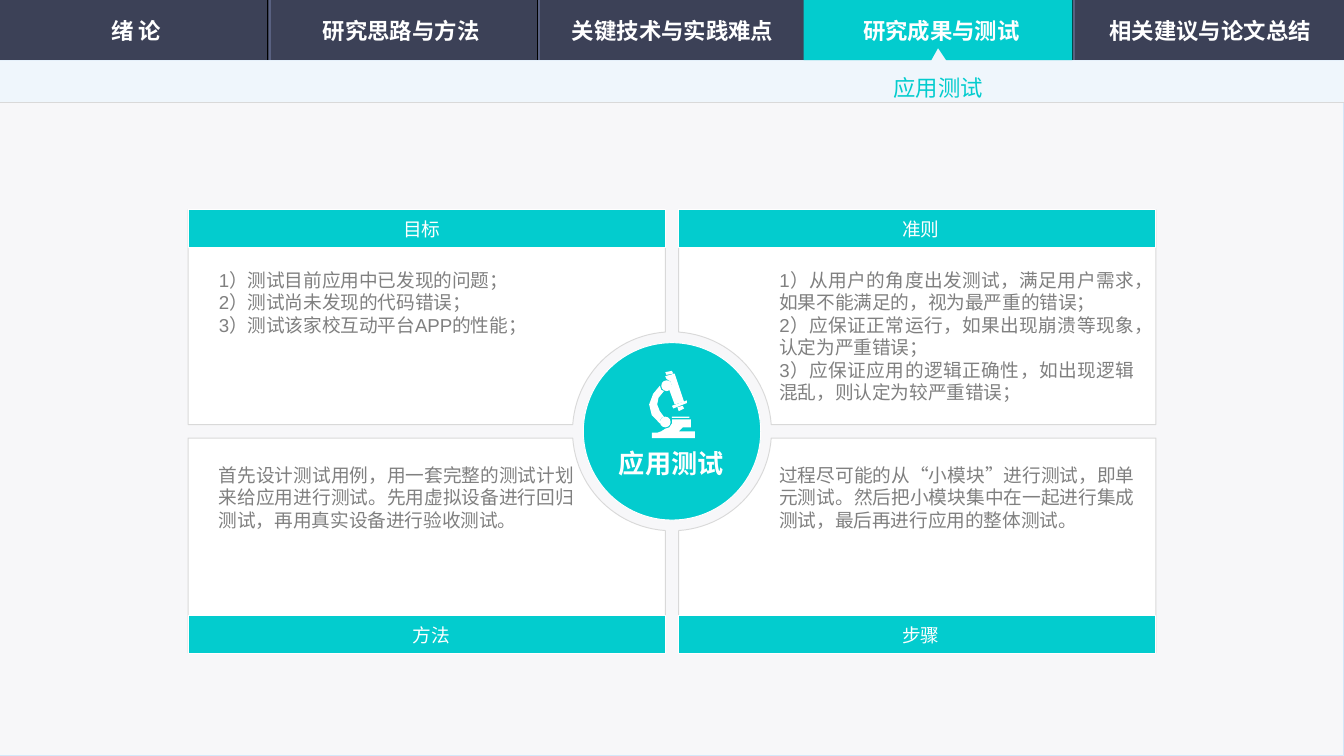
"""Build the application-testing slide: navigation bar, four cards and a round hub."""
from dataclasses import dataclass
from math import asin, cos, pi, sin

from lxml import etree
from pptx import Presentation
from pptx import util as u
from pptx.dml.color import RGBColor
from pptx.enum import shapes, text
from pptx.oxml import ns

TEAL, NAVY, WHITE, GREY = "03CCCE", "3C4157", "FFFFFF", "808080"
EDGE, PAPER, PALE = "D9D9D9", "F7F7F9", "EFF6FC"
SANS = "Noto Sans CJK SC"
RECT, OVAL = shapes.MSO_SHAPE.RECTANGLE, shapes.MSO_SHAPE.OVAL
CENTER, JUSTIFY, LEFT = text.PP_ALIGN.CENTER, text.PP_ALIGN.JUSTIFY, text.PP_ALIGN.LEFT
WIDTH, HEIGHT, BAR, SUBBAR = 10, 10 * 9 / 16, 0.45, 0.76
HUB_X, HUB_Y, HUB_RADIUS, NOTCH = 5, 3.21, 0.66, 0.74
CARD_WIDTH, CARD_HEIGHT, HALF_GAP, BAND = 3.55, 1.6, 0.05, 0.28
Points = list[tuple[float, float]]
Bounds = tuple[float, float, float, float]


@dataclass
class Style:
    size: float
    name: str
    color: str
    align: text.PP_ALIGN
    bold: bool = False
    wrap: bool = True
    inset: bool = True
    middle: bool = False
    spacing: float | None = None


@dataclass
class Card:
    side: int
    row: int
    title: str
    title_left: float
    body: list[str]
    body_bounds: Bounds


TAB = Style(12, SANS, WHITE, CENTER, bold=True, middle=True)
SUBTAB = Style(12, SANS, TEAL, LEFT, wrap=False, middle=True, spacing=1.5)
TITLE = Style(10, SANS, WHITE, CENTER, wrap=False, inset=False)
BODY = Style(10, "Arial", GREY, JUSTIFY)
HUB = Style(14, "Calibri", WHITE, CENTER, bold=True, wrap=False)

TABS = {"绪 论": 0.02, "研究思路与方法": 1.99, "关键技术与实践难点": 4.01,
        "研究成果与测试": 6.01, "相关建议与论文总结": 8.01}
SEPARATORS = [(1.99, 2.01), (4, 4.01), (5.99, 6), (7.98, 7.99)]
CARDS = [
    Card(-1, 1, "方法", 3.07, [
        "首先设计测试用例，用一套完整的测试计划来给应用进行测试。"
        "先用虚拟设备进行回归测试，再用真实设备进行验收测试。",
    ], (1.53, 3.4, 2.84, 0.61)),
    Card(1, 1, "步骤", 6.71, [
        "过程尽可能的从“小模块”进行测试，即单元测试。"
        "然后把小模块集中在一起进行集成测试，最后再进行应用的整体测试。",
    ], (5.7, 3.4, 2.84, 0.61)),
    Card(-1, -1, "目标", 3, [
        "1）测试目前应用中已发现的问题；",
        "2）测试尚未发现的代码错误；",
        "3）测试该家校互动平台APP的性能；",
    ], (1.53, 1.95, 2.81, 0.61)),
    Card(1, -1, "准则", 6.71, [
        "1）从用户的角度出发测试，满足用户需求，如果不能满足的，视为最严重的错误；",
        "2）应保证正常运行，如果出现崩溃等现象，认定为严重错误；",
        "3）应保证应用的逻辑正确性，如出现逻辑混乱，则认定为较严重错误；",
    ], (5.7, 1.95, 2.84, 1.11)),
]
MICROSCOPE_OUTLINES: list[Points] = [
    [(5.11, 3), (5.01, 3.04), (5, 3.02), (5.11, 2.98)],
    [(5.04, 3.03), (5.05, 3.06), (5.09, 3.04), (5.08, 3.02)],
    [(4.95, 2.77), (4.96, 2.79), (5.01, 2.78), (5, 2.76)],
    [(5.02, 2.78), (4.95, 2.8), (4.96, 2.82), (4.99, 2.84), (5, 2.87),
     (4.98, 2.9), (5.02, 3.01), (5.09, 2.99)],
    [(4.91, 3.15), (4.91, 3.13), (4.92, 3.11), (4.94, 3.1), (4.91, 3.06), (4.89, 3.01),
     (4.9, 2.96), (4.94, 2.91), (4.92, 2.9), (4.91, 2.87), (4.86, 2.93), (4.83, 3.01),
     (4.85, 3.09)],
    [(5.05, 3.21), (5.08, 3.18), (5.14, 3.18), (5.14, 3.12), (5, 3.12), (5, 3.15),
     (4.98, 3.18), (4.95, 3.19), (4.92, 3.21), (4.89, 3.22), (4.85, 3.22),
     (4.85, 3.26), (5.17, 3.26), (5.17, 3.21)],
]


def cm(inches: float) -> u.Length:
    """Turn a layout position in inches into a length."""
    return u.Cm(inches * 2.54)


def rgb(value: str) -> RGBColor:
    """Turn a hex string into a colour."""
    return RGBColor.from_string(value)


def paint(shape, fill: str, line: str | None = None) -> None:
    """Give a shape a flat fill and an optional thin outline."""
    shape.shadow.inherit = False
    shape.fill.solid()
    shape.fill.fore_color.rgb = rgb(fill)
    if line:
        shape.line.color.rgb = rgb(line)
        shape.line.width = u.Pt(0.5)
    else:
        shape.line.fill.background()


def add_preset(page, kind, bounds: Bounds, fill: str, line: str | None = None) -> None:
    """Draw a preset shape."""
    paint(page.shapes.add_shape(kind, *map(cm, bounds)), fill, line)


def add_outline(page, points: Points, fill: str, line: str | None = None) -> None:
    """Draw a closed outline through the points."""
    corners = [(cm(x), cm(y)) for x, y in points]
    builder = page.shapes.build_freeform(*corners[0])
    builder.add_line_segments(corners[1:], close=True)
    paint(builder.convert_to_shape(), fill, line)


def add_rule(page, ends: Bounds, color: str, width: float) -> None:
    """Draw a straight line without shadow."""
    rule = page.shapes.add_connector(shapes.MSO_CONNECTOR.STRAIGHT, *map(cm, ends))
    rule.line.color.rgb = rgb(color)
    rule.line.width = u.Pt(width)
    etree.SubElement(rule._element.spPr, ns.qn("a:effectLst"))


def write_text(frame, lines: list[str], style: Style) -> None:
    """Write paragraphs in one style."""
    frame.text = "\n".join(lines)
    frame.word_wrap = style.wrap
    frame.vertical_anchor = text.MSO_ANCHOR.MIDDLE if style.middle else text.MSO_ANCHOR.TOP
    if not style.inset:
        frame.margin_left = frame.margin_right = frame.margin_top = frame.margin_bottom = 0
    for para in frame.paragraphs:
        para.alignment, para.line_spacing = style.align, style.spacing
        para.font.size, para.font.name = u.Pt(style.size), style.name
        para.font.bold = style.bold
        para.font.color.rgb = rgb(style.color)


def add_text(page, lines: list[str], bounds: Bounds, style: Style) -> None:
    """Add a text box that grows with its text."""
    frame = page.shapes.add_textbox(*map(cm, bounds)).text_frame
    write_text(frame, lines, style)
    frame.auto_size = text.MSO_AUTO_SIZE.SHAPE_TO_FIT_TEXT


def add_navigation(page) -> None:
    """Draw the tab bar, its active tab and the strip below."""
    add_preset(page, RECT, (0, 0, WIDTH, BAR), NAVY)
    add_preset(page, RECT, (0, BAR, WIDTH, HEIGHT - BAR), PAPER, "D4E7F9")
    for dark, light in SEPARATORS:
        add_rule(page, (dark, 0, dark, BAR), "000000", 0.5)
        add_rule(page, (light, 0, light, BAR), "596181", 0.75)
    add_preset(page, RECT, (5.98, 0, 2, BAR), TEAL)
    add_outline(page, [(6.98, 0.36), (7.04, BAR), (WIDTH, BAR), (WIDTH, SUBBAR),
                       (0, SUBBAR), (0, BAR), (6.93, BAR)], PALE)
    add_rule(page, (0, SUBBAR, WIDTH, SUBBAR), EDGE, 0.5)


def add_tab_labels(page) -> None:
    """Label the tabs and the strip below."""
    for label, left in TABS.items():
        tab = page.shapes.add_shape(shapes.MSO_SHAPE.ROUNDED_RECTANGLE,
                                    *map(cm, (left, 0.07, 1.99, 0.31)))
        tab.adjustments[0] = 0
        tab.shadow.inherit = False
        tab.fill.background()
        tab.line.fill.background()
        write_text(tab.text_frame, [label], TAB)
    add_text(page, ["应用测试"], (6.55, 0.4, 0.88, 0.4), SUBTAB)


def add_card(page, card: Card) -> None:
    """Draw a card whose inner corner is cut by an arc around the hub."""
    near_x, far_x = (HUB_X + card.side * d for d in (HALF_GAP, HALF_GAP + CARD_WIDTH))
    near_y, far_y = (HUB_Y + card.row * d for d in (HALF_GAP, HALF_GAP + CARD_HEIGHT))
    first, steps = asin(HALF_GAP / NOTCH), 24
    angles = [first + (pi / 2 - 2 * first) * step / steps for step in range(steps + 1)]
    arc = [(HUB_X + card.side * NOTCH * cos(angle), HUB_Y + card.row * NOTCH * sin(angle))
           for angle in angles]
    add_outline(page, arc + [(near_x, far_y), (far_x, far_y), (far_x, near_y)], WHITE, EDGE)
    top = far_y if card.row < 0 else far_y - BAND
    add_preset(page, RECT, (min(near_x, far_x), top, CARD_WIDTH, BAND), TEAL, WHITE)
    add_text(page, [card.title], (card.title_left, top + 0.06, 0.28, 0.17), TITLE)
    add_text(page, card.body, card.body_bounds, BODY)


def add_hub(page) -> None:
    """Draw the central disc with its microscope and label."""
    add_preset(page, OVAL, (HUB_X - HUB_RADIUS, HUB_Y - HUB_RADIUS,
                            2 * HUB_RADIUS, 2 * HUB_RADIUS), TEAL, WHITE)
    add_text(page, ["应用测试"], (4.5, 3.28, 0.99, 0.34), HUB)
    microscope = page.shapes.add_group_shape()
    for outline in MICROSCOPE_OUTLINES:
        add_outline(microscope, outline, WHITE)
    add_preset(microscope, RECT, (5, 3.1, 0.13, 0.01), WHITE)
    for left, top in [(4.92, 2.83), (4.91, 3.1)]:
        add_preset(microscope, OVAL, (left, top, 0.08, 0.08), WHITE)


deck = Presentation()
deck.slide_width, deck.slide_height = cm(WIDTH), cm(HEIGHT)
page = deck.slides.add_slide(deck.slide_layouts[6])
add_navigation(page)
for card in CARDS:
    add_card(page, card)
add_hub(page)
add_tab_labels(page)
deck.save("out.pptx")
